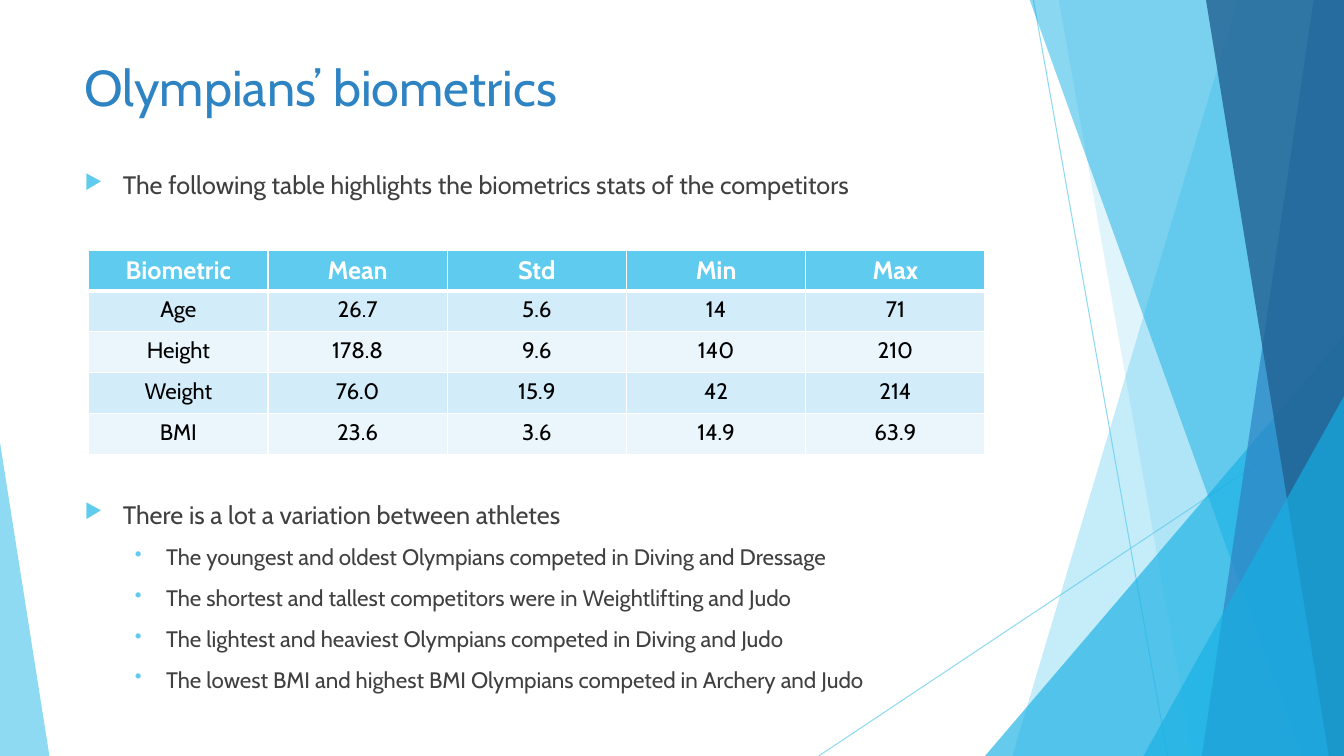
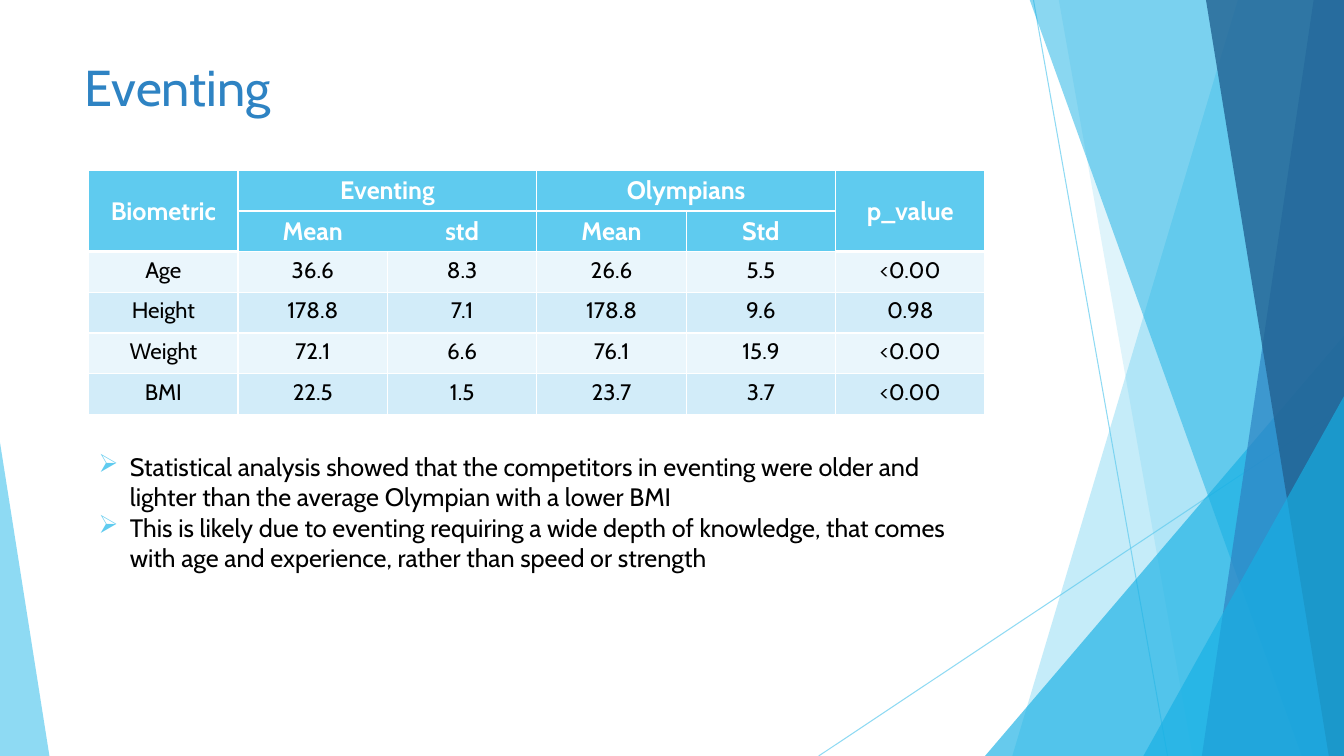
from lxml import etree
from pptx import Presentation
from pptx.dml.color import RGBColor
from pptx.enum import shapes, text
from pptx.oxml.ns import qn
from pptx.util import Pt

# Scale and shared style
PX = 9144  # 100 px to the inch
WIDTH, HEIGHT = 1333, 750
FONT = "Cabin"
SKY = RGBColor(0x5F, 0xCB, 0xEF)
CYAN = RGBColor(0x17, 0xB0, 0xE4)
BLUE = RGBColor(0x2E, 0x83, 0xC3)
NAVY = RGBColor(0x22, 0x62, 0x92)
WHITE = RGBColor(0xFF, 0xFF, 0xFF)
BLACK = RGBColor(0, 0, 0)
GREY = RGBColor(0x40, 0x40, 0x40)
BANDS = [RGBColor(0xD2, 0xEC, 0xF9), RGBColor(0xEA, 0xF6, 0xFC)]

# Background: lines as x, y to x, y
LINES = [(1025, 0, 1158, 750), (1333, 403, 812, 750)]
# Panels run to the right edge from a top x to a bottom x;
# triangles give left, top, width, height and the place of the tip
FACETS = [
    ("panel", (1228, 1004), SKY, 36),
    ("panel", (1050, 1183), SKY, 20),
    ("triangle", (977, 333, 356, 417, 1), CYAN, 66),
    ("panel", (1021, 1291), CYAN, 50),
    ("panel", (1303, 1192), BLUE, 70),
    ("panel", (1196, 1318), NAVY, 80),
    ("triangle", (1134, 393, 199, 357, 1), CYAN, 66),
    ("triangle", (0, 439, 49, 311, 0), SKY, 70),
]

# Bullet sign: indent, hanging, text size, sign percent, space before, colour
BULLETS = {
    "▶": (38, 38, 18, 80, 10, GREY),
    "•": (81, 31, 16, 90, 10, GREY),
    "➢": (31, 31, 18, 100, 0, BLACK),
}

PAGES = [
    {
        "title": "Olympians’ biometrics",
        "table_top": 248, "table_height": 203, "header_rows": 1,
        "merges": [], "open_sides": {}, "bands": BANDS,
        "rows": [
            ["Biometric", "Mean", "Std", "Min", "Max"],
            ["Age", "26.7", "5.6", "14", "71"],
            ["Height", "178.8", "9.6", "140", "210"],
            ["Weight", "76.0", "15.9", "42", "214"],
            ["BMI", "23.6", "3.6", "14.9", "63.9"],
        ],
        "lists": [
            ((74, 163, 940, 50), [
                ("▶", "The following table highlights the biometrics stats of the competitors"),
            ]),
            ((74, 490, 940, 231), [
                ("▶", "There is a lot a variation between athletes"),
                ("•", "The youngest and oldest Olympians competed in Diving and Dressage"),
                ("•", "The shortest and tallest competitors were in Weightlifting and Judo"),
                ("•", "The lightest and heaviest Olympians competed in Diving and Judo"),
                ("•", "The lowest BMI and highest BMI Olympians competed in Archery and Judo"),
            ]),
        ],
    },
    {
        "title": "Eventing",
        "table_top": 169, "table_height": 242, "header_rows": 2,
        "merges": [(0, 0, 1, 0), (0, 1, 0, 2), (0, 3, 0, 4), (0, 5, 1, 5)],
        "open_sides": {(1, 1): "lnR", (1, 2): "lnL"}, "bands": BANDS[::-1],
        "rows": [
            ["Biometric", "Eventing", "", "Olympians", "", "p_value"],
            ["", "Mean", "std", "Mean", "Std", ""],
            ["Age", "36.6", "8.3", "26.6", "5.5", "<0.00"],
            ["Height", "178.8", "7.1", "178.8", "9.6", "0.98"],
            ["Weight", "72.1", "6.6", "76.1", "15.9", "<0.00"],
            ["BMI", "22.5", "1.5", "23.7", "3.7", "<0.00"],
        ],
        "lists": [
            ((88, 443, 889, 131), [
                ("➢", "Statistical analysis showed that the competitors in eventing were older "
                      "and lighter than the average Olympian with a lower BMI"),
                ("➢", "This is likely due to eventing requiring a wide depth of knowledge, that "
                      "comes with age and experience, rather than speed or strength"),
            ]),
        ],
    },
]


def write(para, words, size, colour, bold=False):
    span = para.add_run()
    span.text = words
    span.font.name = FONT
    span.font.size = Pt(size)
    span.font.bold = bold
    span.font.color.rgb = colour


def fade(shape, percent):
    """Make a shape's colours see-through and drop its shadow."""
    properties = shape._element.spPr
    for colour in properties.iter(qn("a:srgbClr")):
        etree.SubElement(colour, qn("a:alpha"), val=str(percent * 1000))
    etree.SubElement(properties, qn("a:effectLst"))


deck = Presentation()
deck.slide_width, deck.slide_height = WIDTH * PX, HEIGHT * PX

for content in PAGES:
    page = deck.slides.add_slide(deck.slide_layouts[6])

    # Background lines
    for ends in LINES:
        line = page.shapes.add_connector(
            shapes.MSO_CONNECTOR.STRAIGHT, *[end * PX for end in ends])
        line.line.color.rgb = SKY
        line.line.width = Pt(0.75)
        fade(line, 70)

    # Background facets
    for kind, place, colour, percent in FACETS:
        if kind == "panel":
            top_x, bottom_x = place
            outline = page.shapes.build_freeform(top_x, -1, scale=PX)
            outline.add_line_segments([(WIDTH, -1), (WIDTH, HEIGHT), (bottom_x, HEIGHT)])
            facet = outline.convert_to_shape()
        else:
            facet = page.shapes.add_shape(
                shapes.MSO_SHAPE.ISOSCELES_TRIANGLE, *[length * PX for length in place[:4]])
            facet.adjustments[0] = place[4]
        facet.fill.solid()
        facet.fill.fore_color.rgb = colour
        facet.line.fill.background()
        fade(facet, percent)

    # Title
    box = page.shapes.add_textbox(74 * PX, 51 * PX, 940 * PX, 96 * PX)
    box.text_frame.word_wrap = True
    write(box.text_frame.paragraphs[0], content["title"], 36, BLUE)

    # Table
    rows, header_rows = content["rows"], content["header_rows"]
    columns = len(rows[0])
    table = page.shapes.add_table(
        len(rows), columns, 88 * PX, content["table_top"] * PX,
        889 * PX, content["table_height"] * PX).table
    table.first_row = table.horz_banding = False
    for top, left, bottom, right in content["merges"]:
        table.cell(top, left).merge(table.cell(bottom, right))
    for r, row in enumerate(rows):
        for c, words in enumerate(row):
            cell = table.cell(r, c)
            if cell.is_spanned:
                continue
            header = r < header_rows
            thick = header and (header_rows == 1 or c in (0, columns - 1))
            for side in ("lnL", "lnR", "lnT", "lnB"):
                points = 3 if thick and side == "lnB" else 1
                border = etree.SubElement(
                    cell._tc.get_or_add_tcPr(), qn("a:" + side), w=str(Pt(points)))
                if content["open_sides"].get((r, c)) == side:
                    etree.SubElement(border, qn("a:noFill"))
                else:
                    paint = etree.SubElement(border, qn("a:solidFill"))
                    etree.SubElement(paint, qn("a:srgbClr"), val=str(WHITE))
            cell.fill.solid()
            cell.fill.fore_color.rgb = SKY if header else content["bands"][(r - header_rows) % 2]
            if cell.is_merge_origin and cell.span_height > 1:
                cell.vertical_anchor = text.MSO_ANCHOR.MIDDLE
            para = cell.text_frame.paragraphs[0]
            para.alignment = text.PP_ALIGN.CENTER
            write(para, words, 18 if header else 16, WHITE if header else BLACK, header)

    # Bulleted lists
    for place, items in content["lists"]:
        box = page.shapes.add_textbox(*[length * PX for length in place])
        frame = box.text_frame
        frame.word_wrap = True
        for number, (sign, words) in enumerate(items):
            indent, hanging, size, percent, space, colour = BULLETS[sign]
            para = frame.add_paragraph() if number else frame.paragraphs[0]
            para.space_before = Pt(space)
            properties = para._p.get_or_add_pPr()
            properties.set("marL", str(indent * PX))
            properties.set("indent", str(-hanging * PX))
            paint = etree.SubElement(properties, qn("a:buClr"))
            etree.SubElement(paint, qn("a:srgbClr"), val=str(SKY))
            etree.SubElement(properties, qn("a:buSzPct"), val=str(percent * 1000))
            etree.SubElement(properties, qn("a:buChar"), char=sign)
            write(para, words, size, colour)

deck.save("out.pptx")
